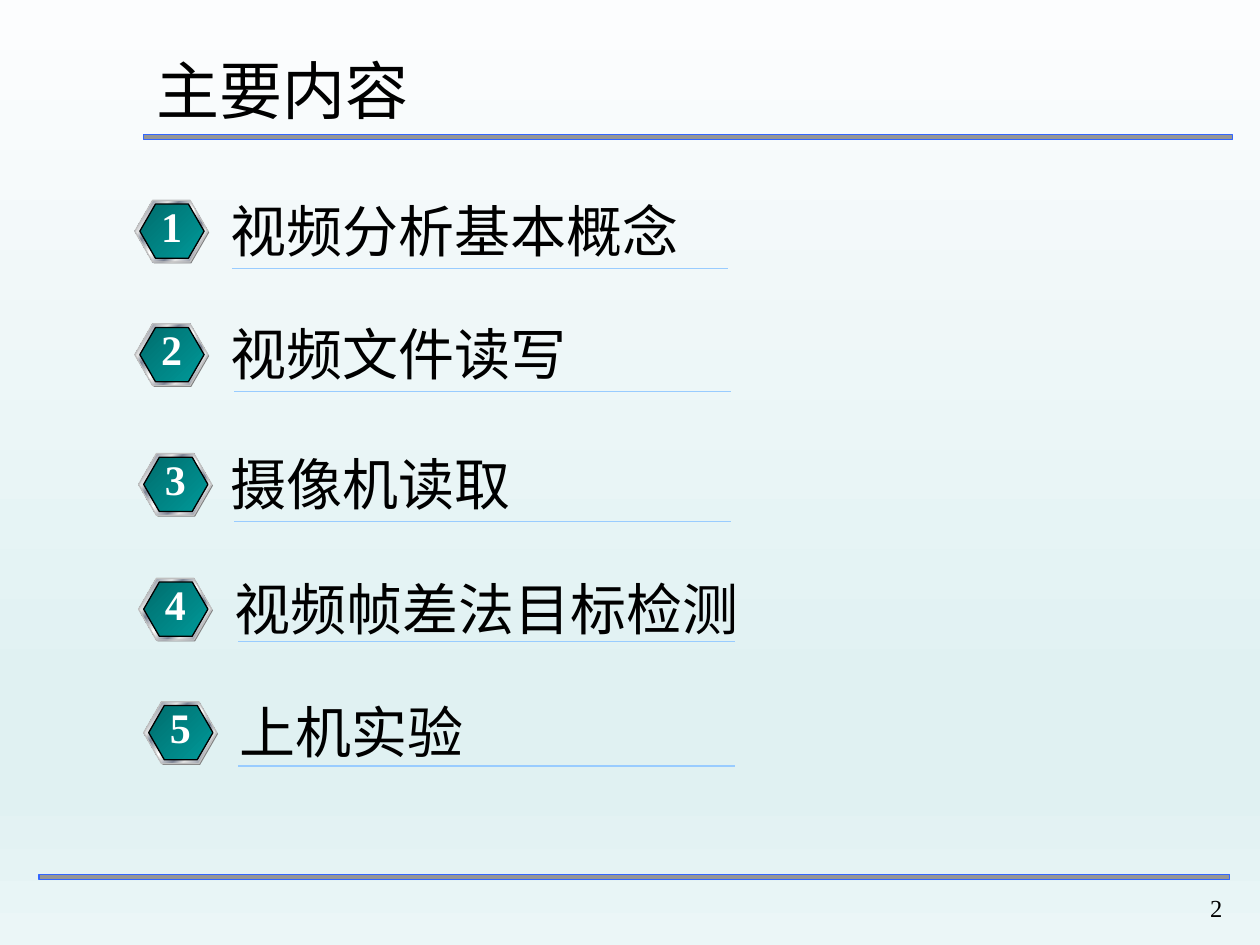
from lxml import etree
from pptx import Presentation
from pptx.dml.color import RGBColor
from pptx.enum import shapes as sh, text as tx
from pptx.oxml.ns import qn
from pptx.util import Inches, Pt

HAN = "Noto Sans CJK SC"
ROMAN = "Times New Roman"
SKY = [(0, "FCFDFE"), (74, "E0F1F2"), (83, "E0F1F2"), (100, "EBF6F7")]
STEEL = [(0, "E6E6E6"), (8, "7D8496"), (26, "E6E6E6"), (34, "7D8496"),
         (46, "E6E6E6"), (50, "FFFFFF"), (54, "E6E6E6"), (66, "7D8496"),
         (74, "E6E6E6"), (92, "7D8496"), (100, "E6E6E6")]
TEAL = [(0, "006D6D"), (100, "009999")]
ITEMS = [
    ("视频分析基本概念", 1.07, 1.59, 1.73, 3.94, 1.84, 2.13),
    ("视频文件读写", 1.07, 2.57, 1.73, 3.42, 1.86, 3.11),
    ("摄像机读取", 1.1, 3.6, 1.73, 3.5, 1.86, 4.14),
    ("视频帧差法目标检测", 1.1, 4.59, 1.76, 4.42, 1.89, 5.09),
    ("上机实验", 1.14, 5.57, 1.8, 6.96, 1.89, 6.08),
]


def color(code):
    return RGBColor.from_string(code)


def blend(owner, fill, stops, angle):
    fill.gradient()
    fill.gradient_angle = 360 - angle
    ramp = owner.element.find(".//" + qn("a:gsLst"))
    for old in list(ramp):
        ramp.remove(old)
    for pos, code in stops:
        stop = etree.SubElement(ramp, qn("a:gs"), pos=str(pos * 1000))
        etree.SubElement(stop, qn("a:srgbClr"), val=code)


def add_shape(home, kind, box, fill, line=None):
    shape = home.add_shape(kind, *map(Inches, box))
    shape.shadow.inherit = False
    if isinstance(fill, list):
        blend(shape, shape.fill, fill, 45)
    else:
        shape.fill.solid()
        shape.fill.fore_color.rgb = color(fill)
    if line:
        shape.line.color.rgb = color(line)
        shape.line.width = Pt(0.75)
    else:
        shape.line.fill.background()
    return shape


def add_hex(home, box, fill, line=None):
    shape = add_shape(home, sh.MSO_SHAPE.HEXAGON, box, fill, line)
    shape.adjustments[0] = 0.289


def add_text(home, box, words, size, face, code="000000", bold=False,
             align=tx.PP_ALIGN.LEFT, anchor=tx.MSO_ANCHOR.TOP, wrap=True):
    frame = home.add_textbox(*map(Inches, box)).text_frame
    frame.word_wrap = wrap
    frame.vertical_anchor = anchor
    para = frame.paragraphs[0]
    para.alignment = align
    run = para.add_run()
    run.text = words
    font = run.font
    font.size = Pt(size)
    font.bold = bold
    font.color.rgb = color(code)
    font.name = face
    etree.SubElement(run._r.get_or_add_rPr(), qn("a:ea"), typeface=face)


def add_rule(home, x, y, width):
    rule = home.add_connector(sh.MSO_CONNECTOR.STRAIGHT, Inches(x), Inches(y),
                              Inches(x + width), Inches(y))
    rule.line.color.rgb = color("99CCFF")
    rule.line.width = Pt(0.75)
    etree.SubElement(rule.element.spPr, qn("a:effectLst"))


def add_badge(home, x, y, label):
    group = home.add_group_shape().shapes
    add_hex(group, (x + 0.01, y + 0.01, 0.58, 0.49), "808080")
    add_hex(group, (x, y, 0.58, 0.49), STEEL, "C0C0C0")
    add_hex(group, (x + 0.04, y + 0.03, 0.51, 0.43), TEAL, "000000")
    add_text(home, (x + 0.11, y - 0.05, 0.36, 0.5), label, 24, ROMAN,
             "FFFFFF", True, tx.PP_ALIGN.CENTER)


def main():
    deck = Presentation()
    deck.slide_width, deck.slide_height = Inches(10), Inches(7.5)
    slide = deck.slides.add_slide(deck.slide_layouts[6])
    blend(slide, slide.background.fill, SKY, 90)
    home = slide.shapes
    for bar in ((1.14, 1.07, 8.64, 0.04), (0.31, 6.94, 9.45, 0.04)):
        add_shape(home, sh.MSO_SHAPE.RECTANGLE, bar, "969696", "3366FF")
    add_text(home, (7.72, 6.87, 2.08, 0.5), "2", 14, ROMAN,
             align=tx.PP_ALIGN.RIGHT, anchor=tx.MSO_ANCHOR.BOTTOM)
    add_text(home, (1.14, 0.36, 2.22, 0.71), "主要内容", 36, HAN, wrap=False)
    for num, (words, x, y, left, width, start, base) in enumerate(ITEMS, 1):
        add_badge(home, x, y, str(num))
        add_text(home, (left, y - 0.12, width, 0.67), words, 32, HAN,
                 anchor=tx.MSO_ANCHOR.BOTTOM)
        add_rule(home, start, base, 3.94)
    deck.save("out.pptx")


if __name__ == "__main__":
    main()
